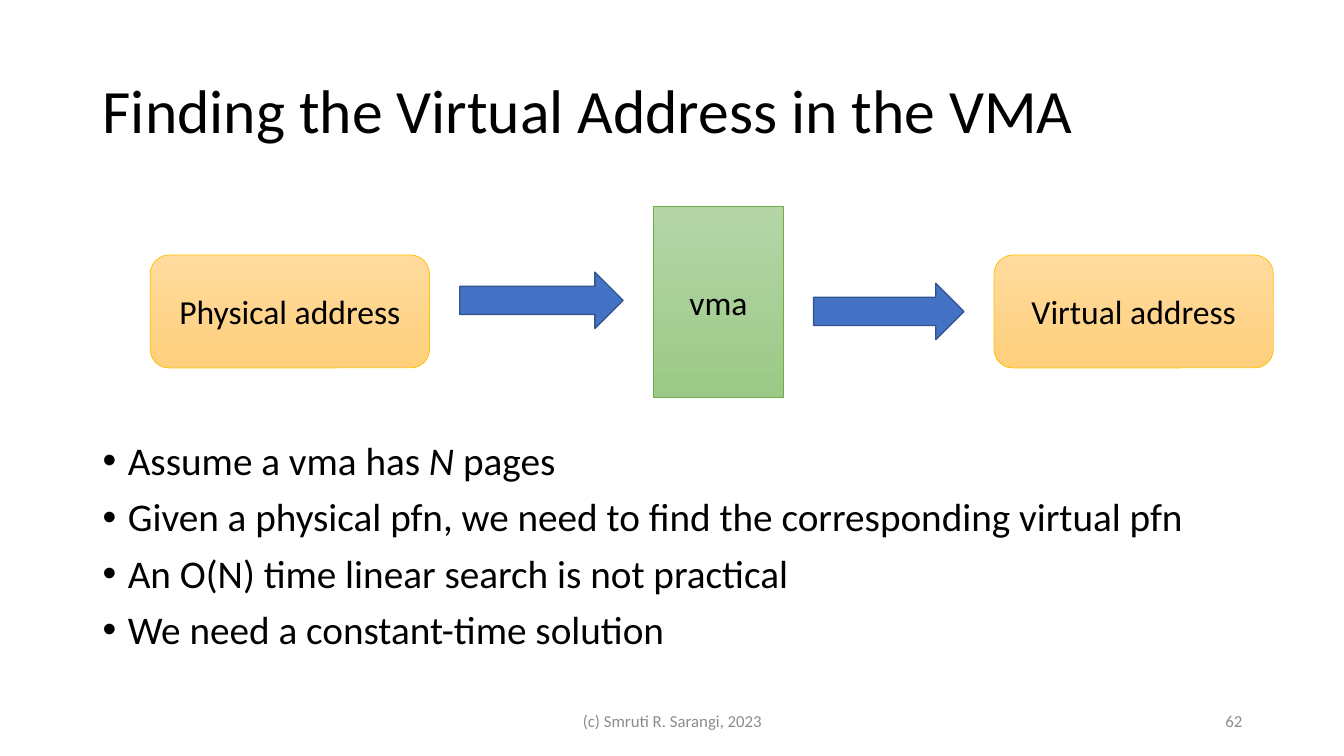
"""Build the slide on finding the virtual address in the VMA."""
from lxml.etree import SubElement
from pptx import Presentation
from pptx.dml.color import RGBColor
from pptx.enum.shapes import MSO_SHAPE
from pptx.enum.text import MSO_ANCHOR, PP_ALIGN
from pptx.oxml.ns import qn
from pptx.util import Inches, Pt

COLORS = {
    "text": "000000", "footer": "8C8C8C",
    "arrow": "4472C4", "arrow_line": "325491",
    "address_top": "FFDB9E", "address_bottom": "FFD07C", "address_line": "FFC000",
    "vma_top": "B5D5A7", "vma_bottom": "9CC987", "vma_line": "70AD47",
}


def color(name):
    return RGBColor.from_string(COLORS[name])


def write(text_frame, lines, size, color_name="text", align=PP_ALIGN.LEFT, anchor=MSO_ANCHOR.MIDDLE):
    text_frame.word_wrap = True
    text_frame.vertical_anchor = anchor
    text_frame.text = "\n".join(lines)
    for paragraph in text_frame.paragraphs:
        paragraph.alignment = align
        paragraph.font.name = "Calibri"
        paragraph.font.size = Pt(size)
        for run in paragraph.runs:
            run.font.name = "Calibri"
            run.font.size = Pt(size)
            run.font.color.rgb = color(color_name)


presentation = Presentation()
presentation.slide_width = Inches(13.33)
presentation.slide_height = Inches(7.5)
slide = presentation.slides.add_slide(presentation.slide_layouts[6])

title = slide.shapes.add_textbox(Inches(0.92), Inches(0.4), Inches(11.5), Inches(1.45))
write(title.text_frame, ["Finding the Virtual Address in the VMA"], 44)
title.text_frame.paragraphs[0].line_spacing = 0.9

body = slide.shapes.add_textbox(Inches(0.92), Inches(4.33), Inches(11.5), Inches(2.42))
points = [
    "Assume a vma has ",
    "Given a physical pfn, we need to find the corresponding virtual pfn",
    "An O(N) time linear search is not practical",
    "We need a constant-time solution",
]
write(body.text_frame, points, 28, anchor=MSO_ANCHOR.TOP)
first_point = body.text_frame.paragraphs[0]
for text, italic in [("N", True), (" pages", False)]:
    run = first_point.add_run()
    run.text = text
    run.font.name = "Calibri"
    run.font.size = Pt(28)
    run.font.italic = italic
    run.font.color.rgb = color("text")
for index, paragraph in enumerate(body.text_frame.paragraphs):
    properties = paragraph._p.get_or_add_pPr()
    properties.set("marL", str(Inches(0.25)))
    properties.set("indent", str(Inches(-0.25)))
    bullet_font = properties.makeelement(qn("a:buFont"), {"typeface": "Arial"})
    properties.insert(0, bullet_font)
    bullet = properties.makeelement(qn("a:buChar"), {"char": "•"})
    bullet_font.addnext(bullet)
    paragraph.line_spacing = 0.9
    paragraph.space_before = Pt(10 if index else 0)

footers = [
    ("(c) Smruti R. Sarangi, 2023", 4.42, 4.5, PP_ALIGN.CENTER),
    ("62", 9.42, 3, PP_ALIGN.RIGHT),
]
for text, left, width, align in footers:
    footer = slide.shapes.add_textbox(Inches(left), Inches(6.95), Inches(width), Inches(0.4))
    write(footer.text_frame, [text], 12, "footer", align)

for left, top, width in [(4.56, 2.7, 1.62), (8.07, 2.81, 1.49)]:
    arrow = slide.shapes.add_shape(
        MSO_SHAPE.RIGHT_ARROW, Inches(left), Inches(top), Inches(width), Inches(0.56))
    arrow.shadow.inherit = False
    arrow.fill.solid()
    arrow.fill.fore_color.rgb = color("arrow")
    arrow.line.color.rgb = color("arrow_line")
    arrow.line.width = Pt(1)

boxes = [
    ("Physical address", MSO_SHAPE.ROUNDED_RECTANGLE, 1.49, 2.53, 2.77, 1.12, "address"),
    ("vma", MSO_SHAPE.RECTANGLE, 6.48, 2.05, 1.29, 1.89, "vma"),
    ("Virtual address", MSO_SHAPE.ROUNDED_RECTANGLE, 9.86, 2.53, 2.77, 1.12, "address"),
]
for text, kind, left, top, width, height, palette in boxes:
    box = slide.shapes.add_shape(kind, Inches(left), Inches(top), Inches(width), Inches(height))
    box.shadow.inherit = False
    box.fill.gradient()
    box.fill.gradient_angle = 270
    for stop, end in zip(box.fill.gradient_stops, ["top", "bottom"]):
        stop.color.rgb = color(f"{palette}_{end}")
    box.line.color.rgb = color(f"{palette}_line")
    box.line.width = Pt(0.5)
    write(box.text_frame, [text], 24, align=PP_ALIGN.CENTER)

presentation.save("out.pptx")
